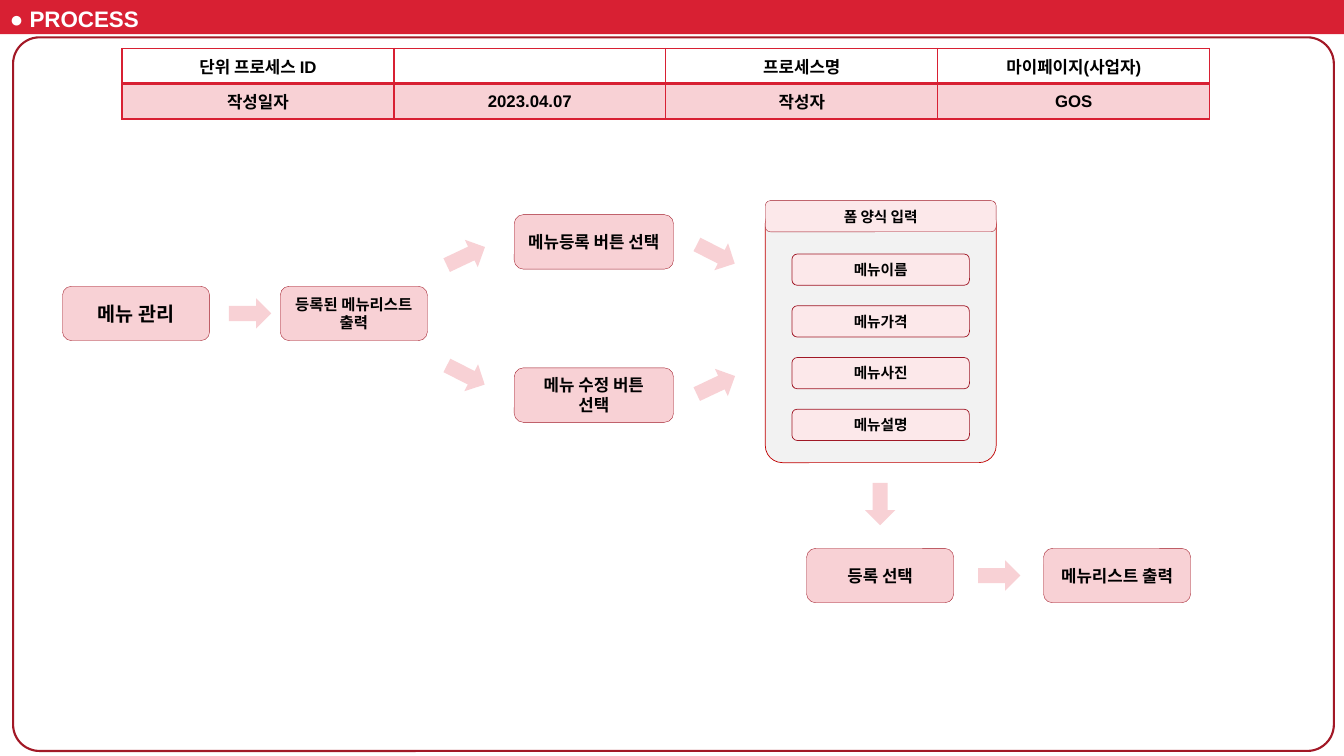
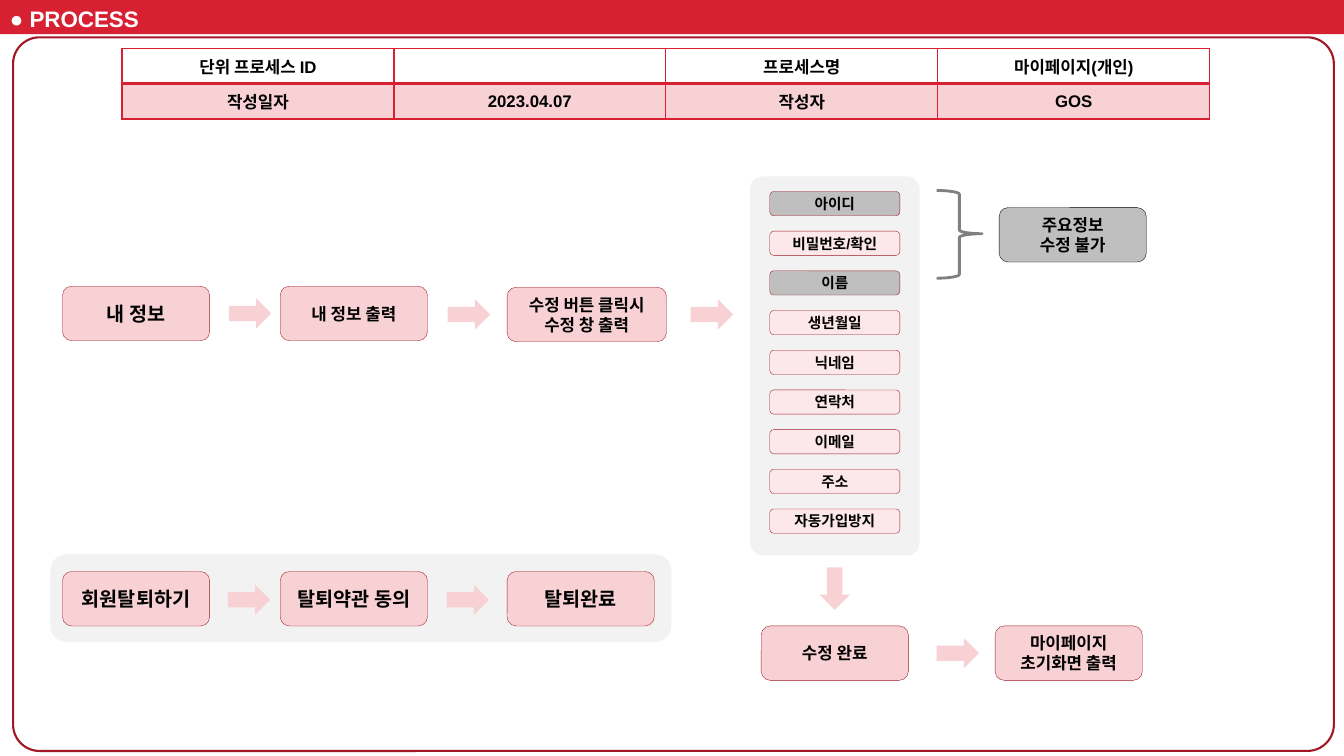
from lxml.etree import SubElement
from pptx import Presentation
from pptx.dml.color import RGBColor
from pptx.enum.shapes import MSO_SHAPE as Kind
from pptx.enum.text import MSO_ANCHOR as Anchor, PP_ALIGN as Align
from pptx.oxml.ns import qn
from pptx.util import Inches, Pt

WIDE, HIGH = 13.33, 7.5
RED, WINE, DARK, EDGE = "D82033", "A01826", "A21826", "C00000"
PINK, PALE, MIST, GRAY, SLATE = "F8D1D5", "FCE8EA", "F2F2F2", "BFBFBF", "808080"
BLACK, WHITE = "000000", "FFFFFF"
FONT = "Arial"
BOX_W, BOX_H = 1.46, 0.54
COLS = (0.62, 2.78, 5.03)
MAIN, EXIT = 2.84, 5.67
EAST, SOUTH, UP, DOWN = 270, 0, 244.7, 297

# Content: steps are (left, top, width, size, text), arrows (centre x, centre y, turn)
SLIDES = [
    dict(
        name="마이페이지(사업자)",
        steps=[
            (COLS[0], MAIN, BOX_W, 14, "메뉴 관리"),
            (COLS[1], MAIN, BOX_W, 11, "등록된 메뉴리스트 출력"),
            (5.1, 2.13, 1.58, 12, "메뉴등록 버튼 선택"),
            (5.1, 3.65, 1.58, 12, "메뉴 수정 버튼 선택"),
            (8, 5.44, BOX_W, 12, "등록 선택"),
            (10.35, 5.44, BOX_W, 12, "메뉴리스트 출력"),
        ],
        arrows=[
            (2.48, 3.11, EAST), (4.62, 2.54, UP), (4.62, 3.72, DOWN),
            (7.1, 2.52, DOWN), (7.1, 3.82, UP),
            (8.73, 5, SOUTH), (9.91, 5.71, EAST),
        ],
        panel=dict(
            at=(7.59, 2.05, 2.29, 2.54), line=(EDGE, 0.5),
            head=("폼 양식 입력", 1.99),
            tops=(2.52, 4.06), size=(1.76, 0.31), rule=0.5,
            items=["메뉴이름", "메뉴가격", "메뉴사진", "메뉴설명"],
        ),
    ),
    dict(
        name="마이페이지(개인)",
        tray=(0.5, 5.5, 6.16, 0.87),
        steps=[
            (COLS[0], MAIN, BOX_W, 14, "내 정보"),
            (COLS[1], MAIN, BOX_W, 12, "내 정보 출력"),
            (COLS[2], 2.85, 1.58, 12, "수정 버튼 클릭시\n수정 창 출력"),
            (7.55, 6.21, BOX_W, 12, "수정 완료"),
            (9.87, 6.21, BOX_W, 12, "마이페이지 초기화면 출력"),
            (COLS[0], EXIT, BOX_W, 14, "회원탈퇴하기"),
            (COLS[1], EXIT, BOX_W, 14, "탈퇴약관 동의"),
            (COLS[2], EXIT, BOX_W, 14, "탈퇴완료"),
        ],
        arrows=[
            (2.48, 3.11, EAST), (4.65, 3.12, EAST), (7.06, 3.12, EAST),
            (8.28, 5.84, SOUTH), (9.5, 6.48, EAST),
            (2.47, 5.95, EAST), (4.64, 5.95, EAST),
        ],
        panel=dict(
            at=(7.44, 1.75, 1.68, 3.76),
            tops=(1.9, 5.05), size=(1.29, 0.24), rule=0.25,
            items=["아이디", "비밀번호/확인", "이름", "생년월일", "닉네임",
                   "연락처", "이메일", "주소", "자동가입방지"],
            locked=("아이디", "이름"),
        ),
        brace=(9.29, 1.89, 0.45, 0.87),
        note=((9.91, 2.06, BOX_W, BOX_H), "주요정보\n수정 불가"),
    ),
]


def tint(code):
    return RGBColor.from_string(code)


def write(frame, text, size, color=BLACK, align=Align.CENTER):
    for i, line in enumerate(text.split("\n")):
        para = frame.add_paragraph() if i else frame.paragraphs[0]
        para.alignment = align
        if not line:  # keeps an empty cell at the row's text size
            SubElement(para._p, qn("a:endParaRPr"), sz=str(size * 100))
            continue
        run = para.add_run()
        run.text = line
        for key, value in dict(name=FONT, size=Pt(size), bold=True).items():
            setattr(run.font, key, value)
        run.font.color.rgb = tint(color)


def draw(home, kind, at, fill=None, line=None, text="", size=12, adj=()):
    shape = home.shapes.add_shape(kind, *map(Inches, at))
    shape.shadow.inherit = False
    for i, value in enumerate(adj):
        shape.adjustments[i] = value
    if fill:
        shape.fill.solid()
        shape.fill.fore_color.rgb = tint(fill)
    else:
        shape.fill.background()
    if line:
        shape.line.color.rgb = tint(line[0])
        shape.line.width = Pt(line[1])
    else:
        shape.line.fill.background()
    if text:
        frame = shape.text_frame
        frame.word_wrap = True
        frame.vertical_anchor = Anchor.MIDDLE
        write(frame, text, size)
    return shape


def edge(cell, low):
    """Border the cell in red; low is the width of its bottom or top rule."""
    props = cell._tc.get_or_add_tcPr()
    for side, width in low.items():
        line = SubElement(props, qn("a:ln" + side), w=str(Pt(width)))
        fill = SubElement(line, qn("a:solidFill"))
        SubElement(fill, qn("a:srgbClr"), val=RED)


def table(slide, name):
    rows = [["단위 프로세스 ID", "", "프로세스명", name],
            ["작성일자", "2023.04.07", "작성자", "GOS"]]
    area = map(Inches, (1.21, 0.48, 10.79, 0.7))
    grid = slide.shapes.add_table(len(rows), len(rows[0]), *area).table
    grid.first_row = grid.horz_banding = False
    for r, row in enumerate(rows):
        for c, text in enumerate(row):
            cell = grid.cell(r, c)
            cell.vertical_anchor = Anchor.MIDDLE
            edge(cell, dict(L=1, R=1, T=2 if r else 1, B=1 if r else 2))
            if r:
                cell.fill.solid()
                cell.fill.fore_color.rgb = tint(PINK)
            else:
                cell.fill.background()
            write(cell.text_frame, text, 12)


def base(slide, name):
    """Band, title, table and frame that every slide carries."""
    draw(slide, Kind.RECTANGLE, (0, 0, WIDE, 0.34), RED)
    title = slide.shapes.add_textbox(0, 0, Inches(1.49), Inches(0.37))
    title.text_frame.word_wrap = False
    write(title.text_frame, "● PROCESS", 16, WHITE, Align.LEFT)
    table(slide, name)
    draw(slide, Kind.ROUNDED_RECTANGLE, (0.13, 0.37, 13.1, 7.08),
         line=(DARK, 1.5), adj=[0.037])


def panel(slide, at, tops, size, rule, items, line=None, head=None, locked=()):
    group = slide.shapes.add_group_shape()
    left, _, width, _ = at
    draw(group, Kind.ROUNDED_RECTANGLE, at, MIST, line, adj=[0.074])
    wide, high = size
    first, last = tops
    step = (last - first) / (len(items) - 1)
    for i, item in enumerate(items):
        spot = (left + (width - wide) / 2, first + i * step, wide, high)
        draw(group, Kind.ROUNDED_RECTANGLE, spot,
             GRAY if item in locked else PALE, (WINE, rule), item, 10.5)
    if head:
        text, top = head
        draw(group, Kind.ROUNDED_RECTANGLE, (left, top, width, high),
             PALE, (WINE, 0.25), text, 10.5)


def build(deck, page):
    slide = deck.slides.add_slide(deck.slide_layouts[6])
    base(slide, page["name"])
    if "tray" in page:
        draw(slide, Kind.ROUNDED_RECTANGLE, page["tray"], MIST, adj=[0.184])
    # Steps and arrows
    for left, top, width, size, text in page["steps"]:
        draw(slide, Kind.ROUNDED_RECTANGLE, (left, top, width, BOX_H),
             PINK, (WINE, 0.25), text, size)
    wide, high = 0.3, 0.42
    for x, y, turn in page["arrows"]:
        spot = (x - wide / 2, y - high / 2, wide, high)
        draw(slide, Kind.DOWN_ARROW, spot, PINK).rotation = turn
    panel(slide, **page["panel"])
    # Note on the locked fields
    if "note" in page:
        draw(slide, Kind.RIGHT_BRACE, page["brace"],
             line=(SLATE, 2), adj=[0.083, 0.493])
        at, text = page["note"]
        draw(slide, Kind.ROUNDED_RECTANGLE, at, GRAY, (BLACK, 0.25), text)


def main():
    deck = Presentation()
    deck.slide_width, deck.slide_height = Inches(WIDE), Inches(HIGH)
    for page in SLIDES:
        build(deck, page)
    deck.save("out.pptx")


if __name__ == "__main__":
    main()
